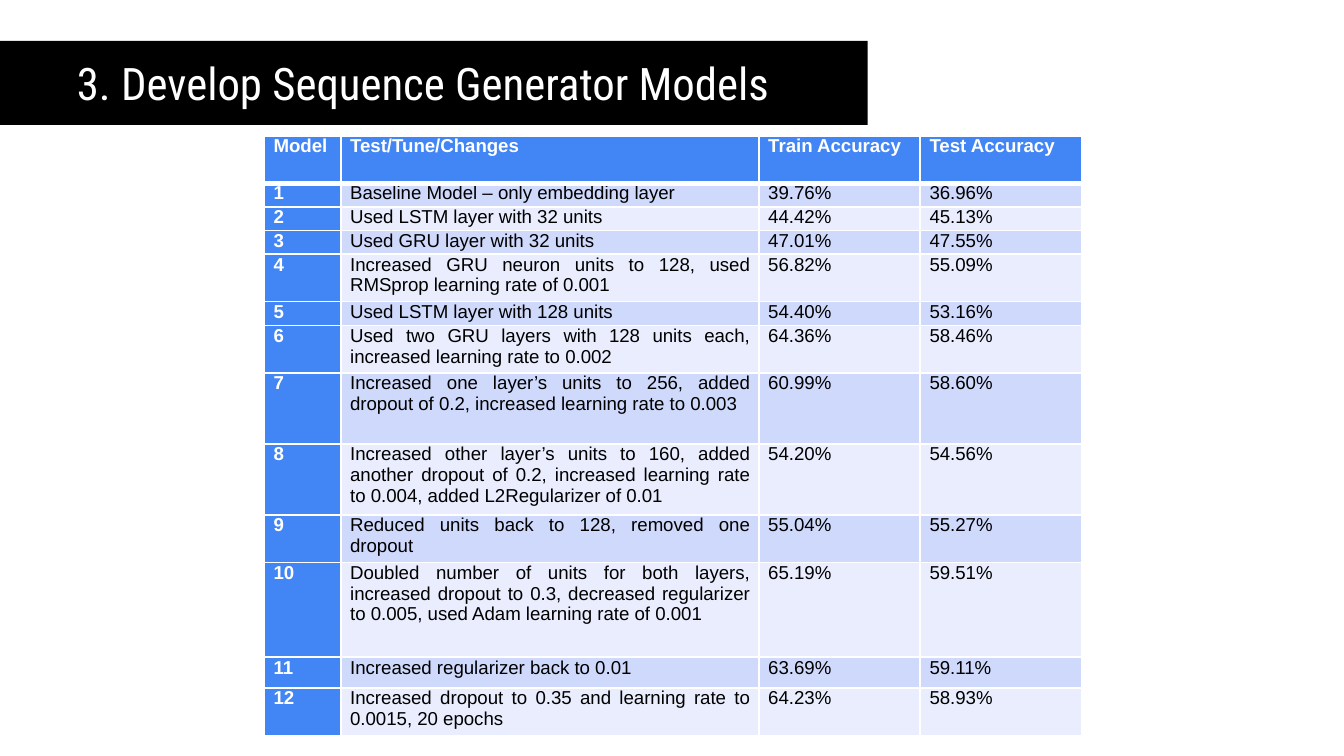
"""Build the slide that compares the sequence generator models."""
from typing import NamedTuple

from lxml.etree import SubElement
from pptx import Presentation
from pptx.dml.color import RGBColor
from pptx.enum.text import MSO_ANCHOR as Anchor, MSO_AUTO_SIZE as Fit, PP_ALIGN as Align
from pptx.oxml.ns import qn
from pptx.util import Pt

BLUE, WHITE, BLACK = "4285F4", "FFFFFF", "000000"
BANDS = ("CFD9FB", "E9EDFD")
LINE = 12.7
WIDTHS = (41, 224, 86.4, 86.4)
HEADS = ("Model", "Test/Tune/Changes", "Train Accuracy", "Test Accuracy")


class Trial(NamedTuple):
    change: str
    train: str
    test: str
    lines: float = 1


TRIALS = (
    Trial("Baseline Model – only embedding layer", "39.76%", "36.96%"),
    Trial("Used LSTM layer with 32 units", "44.42%", "45.13%"),
    Trial("Used GRU layer with 32 units", "47.01%", "47.55%"),
    Trial("Increased GRU neuron units to 128, used RMSprop learning rate of 0.001",
          "56.82%", "55.09%", 2),
    Trial("Used LSTM layer with 128 units", "54.40%", "53.16%"),
    Trial("Used two GRU layers with 128 units each, increased learning rate to 0.002",
          "64.36%", "58.46%", 2),
    Trial("Increased one layer’s units to 256, added dropout of 0.2, "
          "increased learning rate to 0.003", "60.99%", "58.60%", 3),
    Trial("Increased other layer’s units to 160, added another dropout of 0.2, "
          "increased learning rate to 0.004, added L2Regularizer of 0.01",
          "54.20%", "54.56%", 3),
    Trial("Reduced units back to 128, removed one dropout", "55.04%", "55.27%", 2),
    Trial("Doubled number of units for both layers, increased dropout to 0.3, "
          "decreased regularizer to 0.005, used Adam learning rate of 0.001",
          "65.19%", "59.51%", 4),
    Trial("Increased regularizer back to 0.01", "63.69%", "59.11%", 1.3),
    Trial("Increased dropout to 0.35 and learning rate to 0.0015, 20 epochs",
          "64.23%", "58.93%", 2),
)


def paint(fill, tint: str) -> None:
    """Make a fill solid in a hex colour."""
    fill.solid()
    fill.fore_color.rgb = RGBColor.from_string(tint)


def write(frame, text: str, *, size: float = 10, font: str = "Arial",
          tint: str = BLACK, bold: bool = False, align=Align.JUSTIFY,
          indent: float = 0) -> None:
    """Put one formatted paragraph in a text frame."""
    frame.word_wrap = True
    para = frame.paragraphs[0]
    para.alignment = align
    if indent:
        para._p.get_or_add_pPr().set("indent", str(Pt(indent)))
    run = para.add_run()
    run.text = text
    run.font.size, run.font.name, run.font.bold = Pt(size), font, bold
    paint(run.font.fill, tint)


def edge(cell, side: str, width: float) -> None:
    """Draw a white border on one side of a cell."""
    line = SubElement(cell._tc.get_or_add_tcPr(), qn(f"a:ln{side}"), w=str(Pt(width)))
    fill = SubElement(line, qn("a:solidFill"))
    SubElement(fill, qn("a:srgbClr"), val=WHITE)


def draw_cell(cell, text: str, row: int, col: int) -> None:
    """Format and fill one table cell."""
    head = row == 0 or col == 0
    cell.margin_left = cell.margin_right = Pt(5)
    cell.margin_top = cell.margin_bottom = 0
    for side in "LRTB":
        thick = (row, side) in ((0, "B"), (1, "T"))
        edge(cell, side, 3 if thick else 1)
    paint(cell.fill, BLUE if head else BANDS[(row - 1) % 2])
    write(cell.text_frame, text, tint=WHITE if head else BLACK, bold=head)


def draw_table(slide) -> None:
    """Add the table of trials."""
    rows = [HEADS] + [(str(num), t.change, t.train, t.test)
                      for num, t in enumerate(TRIALS, 1)]
    highs = [2 * LINE] + [t.lines * LINE for t in TRIALS]
    table = slide.shapes.add_table(len(rows), len(WIDTHS), Pt(141.6), Pt(72.7),
                                   Pt(sum(WIDTHS)), Pt(sum(highs))).table
    for column, width in zip(table.columns, WIDTHS):
        column.width = Pt(width)
    for row, (texts, high) in enumerate(zip(rows, highs)):
        table.rows[row].height = Pt(high)
        for col, text in enumerate(texts):
            draw_cell(table.cell(row, col), text, row, col)


def draw_title(slide) -> None:
    """Place the title on its black bar."""
    title = slide.shapes.title
    title.left, title.top, title.width, title.height = map(Pt, (-2, 21.9, 466.8, 45))
    paint(title.fill, BLACK)
    frame = title.text_frame
    frame.auto_size = Fit.NONE
    frame.vertical_anchor = Anchor.MIDDLE
    frame.margin_left = frame.margin_right = Pt(7.2)
    frame.margin_top = frame.margin_bottom = Pt(7.2)
    write(frame, "3. Develop Sequence Generator Models", size=24,
          font="Roboto Condensed", tint=WHITE, align=Align.LEFT, indent=36)


def main() -> None:
    """Build and save the deck."""
    deck = Presentation()
    deck.slide_width, deck.slide_height = Pt(720), Pt(405)
    slide = deck.slides.add_slide(deck.slide_layouts[5])
    draw_title(slide)
    draw_table(slide)
    deck.save("out.pptx")


if __name__ == "__main__":
    main()
